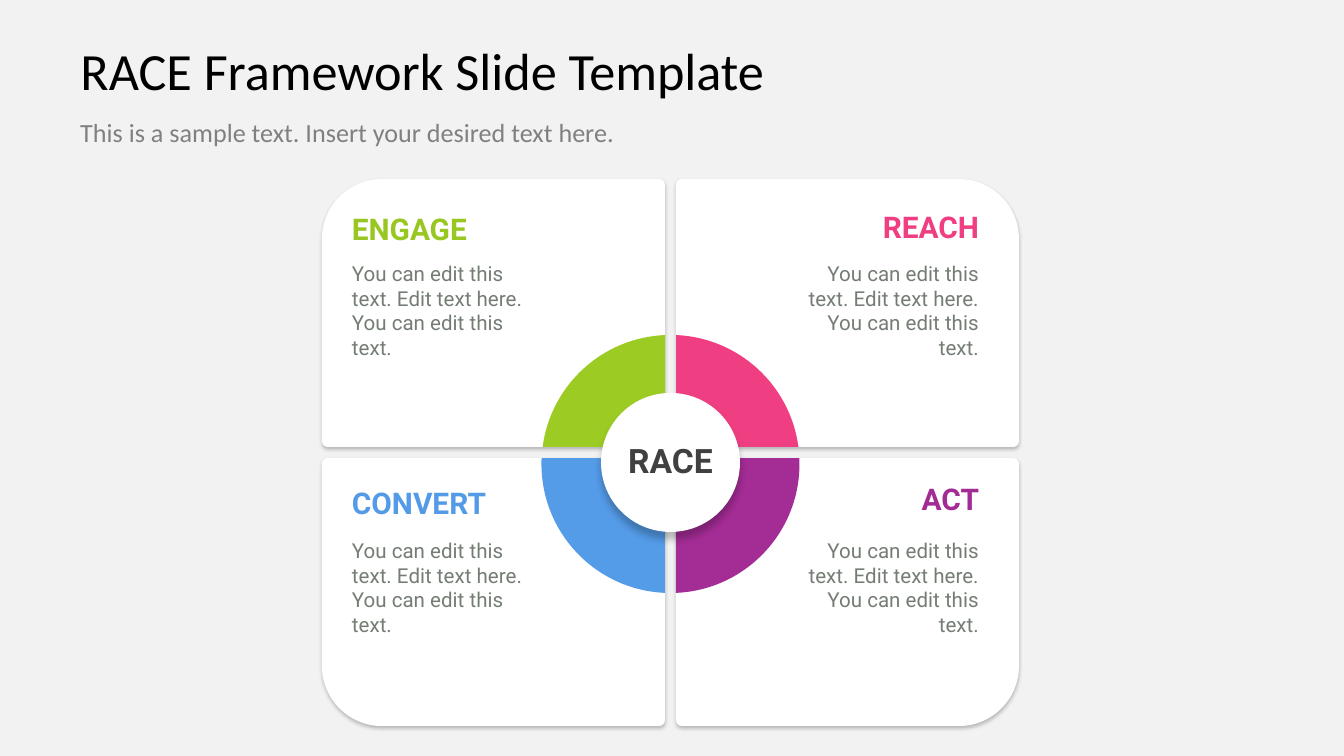
import itertools
import math

import pptx
import pptx.dml.color
import pptx.enum.shapes
import pptx.enum.text
import pptx.oxml
import pptx.oxml.ns
import pptx.util

SCALE = 914400 / 134.4
COLORS = {
    "back": "F1F2F1", "white": "FFFFFF", "black": "000000",
    "title": "000000", "sub": "808080", "body": "747D74", "hub": "404040",
    "engage": "99C722", "reach": "EF3F82", "convert": "539BE7", "act": "A22B94",
    "lime": "9CCB24", "pink": "EF3F82", "blue": "549BE8", "plum": "A32C95",
}
ALIGN = pptx.enum.text.PP_ALIGN
BODY = "You can edit this text. Edit text here. You can edit this text."
CORNERS = [(-1, -1), (1, -1), (1, 1), (-1, 1)]
EDGES_X = {-1: (322, 665), 1: (676, 1019)}
EDGES_Y = {-1: (179, 447), 1: (458, 726)}
PARTS = [
    (-1, -1, "ENGAGE", "engage", "lime", 211, 261),
    (1, -1, "REACH", "reach", "pink", 209, 261),
    (-1, 1, "CONVERT", "convert", "blue", 485, 538),
    (1, 1, "ACT", "act", "plum", 481, 538),
]


def px(value):
    return pptx.util.Emu(round(value * SCALE))


def color(name):
    return pptx.dml.color.RGBColor.from_string(COLORS[name])


def place(shape, left, top, width, height):
    shape.left, shape.top = px(left), px(top)
    shape.width, shape.height = px(width), px(height)


def write(shape, text, font, size, tint, bold=False, align=ALIGN.LEFT):
    frame = shape.text_frame
    frame.word_wrap = True
    frame.auto_size = pptx.enum.text.MSO_AUTO_SIZE.NONE
    line = frame.paragraphs[0]
    line.alignment = align
    run = line.add_run()
    run.text = text
    run.font.name = font
    run.font.size = pptx.util.Pt(size)
    run.font.bold = bold
    run.font.color.rgb = color(tint)


def label(slide, box, text, size, tint, bold=False, align=ALIGN.LEFT):
    shape = slide.shapes.add_textbox(*map(px, box))
    frame = shape.text_frame
    frame.margin_left = frame.margin_right = 0
    frame.margin_top = frame.margin_bottom = 0
    write(shape, text, "Roboto", size, tint, bold, align)


def paint(shape, tint):
    shape.shadow.inherit = False
    shape.fill.solid()
    shape.fill.fore_color.rgb = color(tint)
    shape.line.fill.background()


def shade(shape, blur, dist):
    space = pptx.oxml.ns.nsdecls("a")
    effect = shape.element.spPr.find(pptx.oxml.ns.qn("a:effectLst"))
    effect.append(pptx.oxml.parse_xml(
        f'<a:outerShdw {space} blurRad="{pptx.util.Pt(blur)}" '
        f'dist="{pptx.util.Pt(dist)}" dir="5400000" algn="t" rotWithShape="0">'
        f'<a:srgbClr val="{COLORS["black"]}"><a:alpha val="23000"/></a:srgbClr>'
        '</a:outerShdw>'))


def arc(x, y, radius, start, end):
    pull = 4 / 3 * math.tan((end - start) / 4)
    spots = []
    for angle, tug in [(start, 0), (start, pull), (end, -pull), (end, 0)]:
        cos, sin = math.cos(angle), math.sin(angle)
        spots.append((px(x + radius * (cos - tug * sin)),
                      px(y + radius * (sin + tug * cos))))
    return spots


def outline(slide, arcs, tint):
    spots = list(itertools.chain.from_iterable(arcs))
    maker = slide.shapes.build_freeform(*spots[0], scale=1.0)
    maker.add_line_segments(spots[1:], close=True)
    shape = maker.convert_to_shape()
    lines = list(shape.element.iter(pptx.oxml.ns.qn("a:lnTo")))
    for first in range(0, len(spots), 4):
        curve = pptx.oxml.parse_xml(
            f'<a:cubicBezTo {pptx.oxml.ns.nsdecls("a")}/>')
        lines[first].addprevious(curve)
        for line in lines[first:first + 3]:
            curve.append(line[0])
            line.getparent().remove(line)
        if first and spots[first] == spots[first - 1]:
            lines[first - 1].getparent().remove(lines[first - 1])
    paint(shape, tint)
    return shape


def panel(slide, side, level):
    arcs = []
    for turn, (i, j) in enumerate(CORNERS):
        radius = 60 if (i, j) == (side, level) else 6
        x = EDGES_X[side][i > 0] - i * radius
        y = EDGES_Y[level][j > 0] - j * radius
        start = math.pi + turn * math.pi / 2
        arcs.append(arc(x, y, radius, start, start + math.pi / 2))
    shade(outline(slide, arcs, "white"), 2, 1)


def sector(slide, side, level, tint):
    x, y, radius, bend = 670.5, 464, 129, 8
    edge_x, edge_y = EDGES_X[side][side < 0], EDGES_Y[level][level < 0]
    dx, dy = edge_x - x, edge_y - y
    start = math.atan2(level * math.sqrt(radius ** 2 - dx ** 2), dx)
    end = math.atan2(dy, side * math.sqrt(radius ** 2 - dy ** 2))
    end = start + math.remainder(end - start, 2 * math.pi)
    axis = [0 if side > 0 else math.pi] if level > 0 else []
    stops = [start, *axis, end]
    arcs = [arc(x, y, radius, a, b) for a, b in zip(stops, stops[1:])]
    turn = -level * math.pi / 2
    arcs.append(arc(edge_x + side * bend, edge_y + level * bend, bend,
                    turn, turn + side * turn))
    outline(slide, arcs, tint)


def hub(slide):
    shape = slide.shapes.add_shape(
        pptx.enum.shapes.MSO_SHAPE.OVAL, px(601), px(393), px(139), px(139))
    paint(shape, "white")
    shade(shape, 4, 4)
    label(slide, (605, 440, 131, 44), "RACE", 18, "hub", True, ALIGN.CENTER)


def head(slide):
    title = slide.shapes.title
    place(title, 67, 30, 1210, 79)
    title.text_frame.vertical_anchor = pptx.enum.text.MSO_ANCHOR.MIDDLE
    write(title, "RACE Framework Slide Template", "Calibri", 28, "title")
    sub = slide.shapes.add_textbox(px(67), px(110), px(1210), px(56))
    write(sub, "This is a sample text. Insert your desired text here.",
          "Calibri", 14, "sub")


def main():
    deck = pptx.Presentation()
    deck.slide_width, deck.slide_height = px(1344), px(756)
    slide = deck.slides.add_slide(deck.slide_layouts[5])
    slide.background.fill.solid()
    slide.background.fill.fore_color.rgb = color("back")
    head(slide)
    for side, level, *_ in PARTS:
        panel(slide, side, level)
    for side, level, _, _, tint, *_ in PARTS:
        sector(slide, side, level, tint)
    hub(slide)
    for side, _, name, tint, _, top, low in PARTS:
        align = ALIGN.LEFT if side < 0 else ALIGN.RIGHT
        left, wide = (352, 277) if side < 0 else (757, 222)
        label(slide, (left, top, wide, 40), name, 16, tint, True, align)
        left, wide = (352, 196) if side < 0 else (801, 178)
        label(slide, (left, low, wide, 125), BODY, 11, "body", align=align)
    deck.save("out.pptx")


if __name__ == "__main__":
    main()
